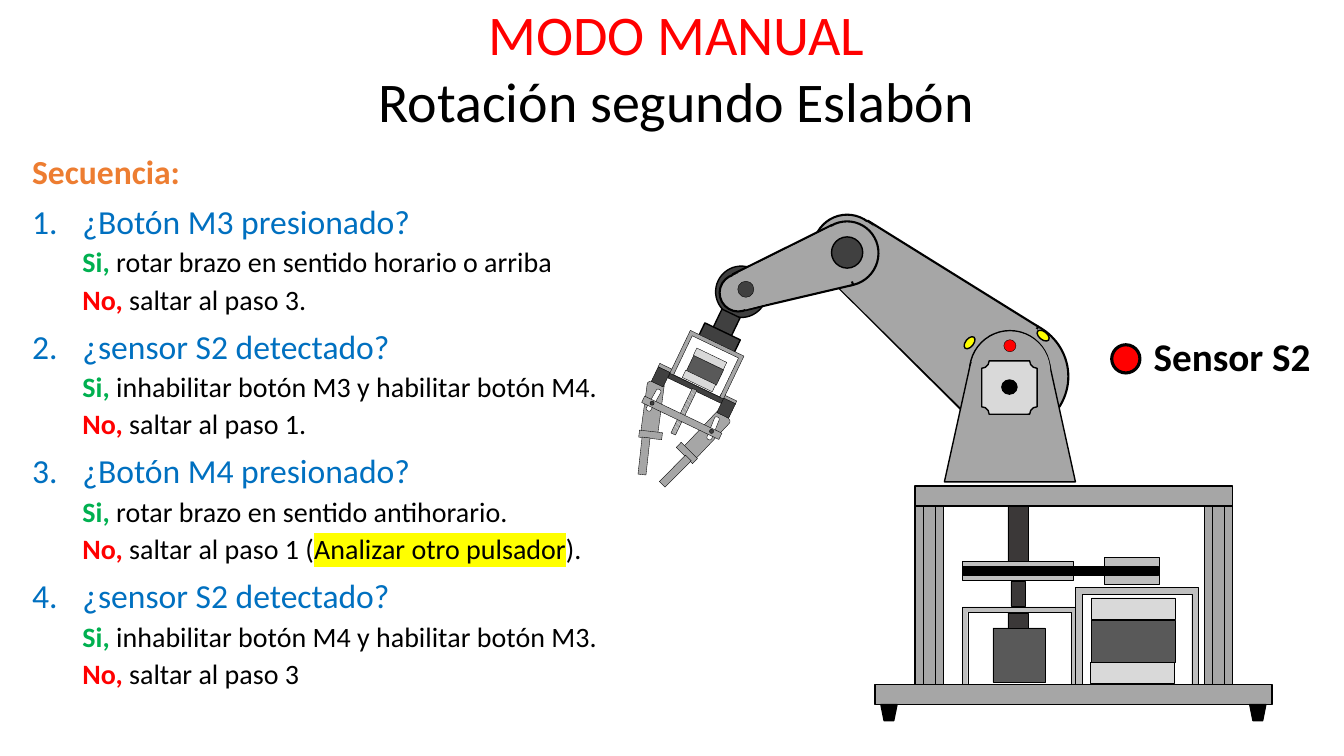
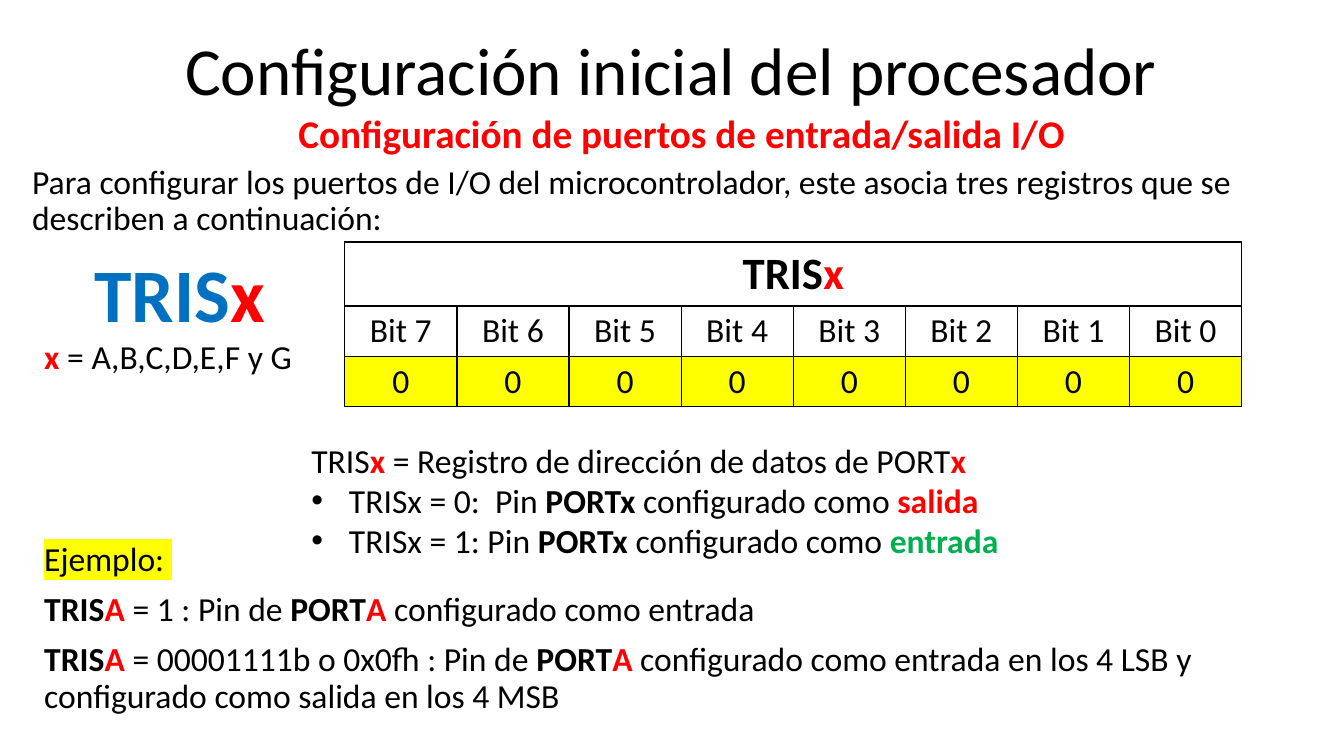
from lxml import etree
from pptx import Presentation
from pptx.dml.color import RGBColor
from pptx.enum.dml import MSO_PATTERN
from pptx.enum.shapes import MSO_SHAPE
from pptx.enum.text import MSO_ANCHOR, PP_ALIGN
from pptx.oxml.ns import qn
from pptx.util import Cm, Pt

CM = 2.54  # the layout grid is in inches, lengths are given in centimetres
FONT = "Calibri"
COLORS = {
    "black": "000000", "white": "FFFFFF", "red": "FF0000", "green": "00B050",
    "blue": "0070C0", "orange": "ED7D31", "yellow": "FFFF00", "grey": "A6A6A6",
    "silver": "BFBFBF", "light": "D9D9D9", "slate": "595959", "dark": "404040",
    "shaft": "3B3838",
}
KINDS = {
    "rect": MSO_SHAPE.RECTANGLE, "round": MSO_SHAPE.ROUNDED_RECTANGLE,
    "oval": MSO_SHAPE.OVAL, "frame": MSO_SHAPE.FRAME,
    "taper": MSO_SHAPE.FLOWCHART_MANUAL_OPERATION, "plaque": MSO_SHAPE.PLAQUE,
}
CENTER = PP_ALIGN.CENTER


def write_text(frame, *runs, size=24, align=PP_ALIGN.LEFT, spacing=1.0, before=0,
               left=0, first=0, bullet=None, number=None):
    """Add a paragraph; a run is a text or (text, colour, bold, highlight)."""
    paragraph = frame.paragraphs[0]
    if paragraph.runs:
        paragraph = frame.add_paragraph()
        paragraph.space_before = Pt(before)
    paragraph.alignment = align
    paragraph.line_spacing = spacing
    properties = paragraph._p.get_or_add_pPr()
    properties.set("marL", str(Cm(left)))
    properties.set("indent", str(Cm(first)))
    if bullet:
        etree.SubElement(properties, qn("a:buFont"), typeface="Arial")
        etree.SubElement(properties, qn("a:buChar"), char=bullet)
    if number:
        etree.SubElement(properties, qn("a:buAutoNum"), type="arabicPeriod",
                         startAt=str(number))
    for item in runs:
        item = (item,) if isinstance(item, str) else item
        text, color, bold, highlight = item + ("black", False, None)[len(item) - 1:]
        run = paragraph.add_run()
        run.text = text
        run.font.size = Pt(size)
        run.font.bold = bold
        run.font.color.rgb = RGBColor.from_string(COLORS[color])
        if highlight:
            mark = etree.SubElement(run._r.get_or_add_rPr(), qn("a:highlight"))
            etree.SubElement(mark, qn("a:srgbClr"), val=COLORS[highlight])
        run.font.name = FONT


def draw(kind, box, fill="grey", line="black", width=0.25, turn=0, adjust=None):
    """Add one part of the robot to the first slide."""
    shape = robot_slide.shapes.add_shape(KINDS[kind], *[Cm(CM * value) for value in box])
    shape.shadow.inherit = False
    shape.rotation = turn
    if adjust is not None:
        shape.adjustments[0] = adjust
    if fill == "hatch":
        shape.fill.patterned()
        shape.fill.pattern = MSO_PATTERN.WIDE_DOWNWARD_DIAGONAL
        shape.fill.fore_color.rgb = RGBColor.from_string(COLORS["white"])
        shape.fill.back_color.rgb = RGBColor.from_string(COLORS["grey"])
    else:
        shape.fill.solid()
        shape.fill.fore_color.rgb = RGBColor.from_string(COLORS[fill])
    if line:
        shape.line.color.rgb = RGBColor.from_string(COLORS[line])
        shape.line.width = Pt(width)
    else:
        shape.line.fill.background()


presentation = Presentation()
presentation.slide_width = Cm(33.87)
presentation.slide_height = Cm(19.05)
blank = presentation.slide_layouts[6]
robot_slide = presentation.slides.add_slide(blank)
register_slide = presentation.slides.add_slide(blank)

# Text boxes of both slides
frames = {}
for name, slide, box in [
    ("mode title", robot_slide, (0.66, 0.05, 12.1, 1.33)),
    ("sequence", robot_slide, (0.22, 1.49, 5.92, 6.01)),
    ("sensor", robot_slide, (11.11, 3.3, 2.23, 0.5)),
    ("setup title", register_slide, (0.59, 0.2, 12.14, 0.94)),
    ("subtitle", register_slide, (2.57, 1.09, 8.38, 0.71)),
    ("intro", register_slide, (0.22, 1.59, 12.52, 0.94)),
    ("meaning", register_slide, (2.99, 4.31, 7.61, 1.31)),
    ("register", register_slide, (0.84, 2.4, 2.07, 1.01)),
    ("ports", register_slide, (0.34, 3.28, 2.84, 0.5)),
    ("example", register_slide, (0.34, 5.33, 12.78, 1.97)),
]:
    frame = slide.shapes.add_textbox(*[Cm(CM * value) for value in box]).text_frame
    frame.word_wrap = True
    if name.endswith(" title"):
        frame.vertical_anchor = MSO_ANCHOR.BOTTOM
    frames[name] = frame

# Slide 1: title and sequence
write_text(frames["mode title"], ("MODO MANUAL", "red"), size=40, align=CENTER)
write_text(frames["mode title"], "Rotación segundo Eslabón", size=40, align=CENTER)

sequence = frames["sequence"]
write_text(sequence, ("Secuencia:", "orange", True), spacing=0.9)
steps = [
    ("¿Botón M3 presionado?", "rotar brazo en sentido horario o arriba",
     ["saltar al paso 3."]),
    ("¿sensor S2 detectado?", "inhabilitar botón M3 y habilitar botón M4.",
     ["saltar al paso 1."]),
    ("¿Botón M4 presionado?", "rotar brazo en sentido antihorario.",
     ["saltar al paso 1 (", ("Analizar otro pulsador", "black", False, "yellow"), ")."]),
    ("¿sensor S2 detectado?", "inhabilitar botón M4 y habilitar botón M3.",
     ["saltar al paso 3"]),
]
for number, (question, if_yes, if_no) in enumerate(steps, 1):
    write_text(sequence, (question, "blue"), spacing=0.9, before=10,
               left=1.27, first=-1.27, number=number)
    for answer in ([("Si, ", "green", True), if_yes], [("No, ", "red", True), *if_no]):
        write_text(sequence, *answer, size=20, spacing=0.9, before=5, left=1.27)

# Sensor legend
draw("oval", (11.03, 3.42, 0.28, 0.28), "red", width=2.25)
write_text(frames["sensor"], ("Sensor S2", "black", True), size=28, align=CENTER,
           spacing=0.9)

# Gripper fingers: knuckle, slot, joint plate and tip
for turn, slot_turn, plate_turn, knuckle, slot, plate, tip in [
    (7.6, 29.4, 6.3, (6.39, 3.79), (6.46, 3.85), (6.34, 4.28), (6.35, 4.34)),
    (43.5, 21.7, 44.8, (6.93, 4.05), (7.05, 4.13), (6.7, 4.46), (6.66, 4.49)),
]:
    draw("round", (*knuckle, 0.17, 0.52), turn=turn)
    draw("round", (*slot, 0.05, 0.24), "white", turn=slot_turn, adjust=0.4)
    draw("rect", (*plate, 0.23, 0.07), turn=plate_turn)
    draw("rect", (*tip, 0.08, 0.37), turn=plate_turn)

# Wrist and gripper body, all tilted alike
TILT = 25.6
for kind, box, fill, width in [
    ("oval", (7.1, 2.64, 0.51, 0.51), "dark", 1),
    ("rect", (7.11, 3.1, 0.2, 0.2), "dark", 1),
    ("rect", (6.94, 3.28, 0.39, 0.16), "dark", 1),
    ("rect", (6.53, 3.64, 0.17, 0.04), "grey", 0.25),
    ("rect", (7.14, 3.94, 0.17, 0.04), "grey", 0.25),
    ("frame", (6.71, 3.38, 0.59, 0.51), "grey", 0.25),
    ("rect", (6.61, 3.83, 0.59, 0.05), "dark", 0.25),
    ("rect", (6.49, 3.66, 0.13, 0.16), "dark", 0.25),
    ("rect", (7.14, 3.97, 0.13, 0.16), "dark", 0.25),
    ("rect", (6.83, 3.59, 0.33, 0.17), "slate", 0.25),
    ("rect", (6.88, 3.52, 0.33, 0.08), "light", 0.25),
    ("rect", (6.77, 3.74, 0.33, 0.08), "light", 0.25),
    ("rect", (6.76, 3.84, 0.05, 0.49), "hatch", 0.25),
]:
    draw(kind, box, fill, width=width, turn=TILT, adjust=0.08 if kind == "frame" else None)
draw("rect", (6.73, 3.72, 0.07, 0.85), turn=TILT - 90)
for pin in [(6.45, 3.98), (7.04, 4.26)]:
    draw("oval", (*pin, 0.04, 0.04), "dark", turn=TILT)

# Both arm links: outlined ends and body, then a body that hides the inner outline
for kind, box, turn, line in [
    ("oval", (9.44, 3.17, 1.16, 1.13), 0, "black"),
    ("taper", (8.61, 2.08, 1.13, 1.98), 128.4, "black"),
    ("oval", (8.07, 2.13, 0.67, 0.67), 0, "black"),
    ("taper", (8.64, 2.09, 1.07, 1.98), 128.4, "grey"),
    ("oval", (8.08, 2.2, 0.64, 0.63), 300.7, "black"),
    ("taper", (7.53, 2.17, 0.63, 1.09), 70.2, "black"),
    ("oval", (7.14, 2.72, 0.37, 0.37), 300.7, "black"),
    ("taper", (7.57, 2.16, 0.56, 1.1), 69.4, "grey"),
]:
    draw(kind, box, line=line, width=1.5, turn=turn)
draw("oval", (8.25, 2.35, 0.31, 0.31), "dark", width=1)
draw("oval", (7.32, 2.79, 0.16, 0.16), "dark")
for spot, turn in [((10.28, 3.29), 38.9), ((9.55, 3.36), 308.9)]:
    draw("oval", (*spot, 0.14, 0.08), "yellow", width=1, turn=turn)

# Shoulder support with motor and sensor
draw("round", (9.62, 3.28, 0.8, 0.82), width=1, adjust=0.5)
draw("taper", (9.37, 3.6, 1.3, 1.18), width=1, turn=180)
draw("round", (9.63, 3.29, 0.79, 0.79), line=None, adjust=0.5)
draw("plaque", (9.74, 3.58, 0.55, 0.53), "light", width=1, adjust=0.14)
draw("oval", (9.94, 3.77, 0.15, 0.14), "black", width=1)
draw("oval", (9.96, 3.37, 0.12, 0.12), "red")

# Base: inner frames, plates, columns and feet
draw("frame", (9.55, 6.02, 1.13, 0.86), "silver", adjust=0.06)
draw("frame", (10.67, 5.83, 1.22, 1.1), "silver", adjust=0.06)
draw("rect", (9.08, 4.82, 3.15, 0.2), width=1)
draw("rect", (8.68, 6.79, 3.94, 0.2), width=1)
for column in (9.08, 11.95):
    draw("rect", (column, 5.02, 0.28, 1.77), width=1)
    draw("rect", (column + 0.08, 5.02, 0.12, 1.77), width=1)
for foot in (8.74, 12.4):
    draw("taper", (foot, 6.99, 0.16, 0.16), "black", width=1)

# Base: motor, gearbox, pulleys, belt and shafts
for box, fill in [
    ((10.83, 6.15, 0.83, 0.42), "slate"),
    ((10.83, 5.93, 0.83, 0.21), "light"),
    ((10.82, 6.57, 0.83, 0.21), "light"),
    ((9.85, 6.23, 0.52, 0.54), "slate"),
    ((9.55, 5.57, 1.1, 0.19), "silver"),
    ((10.96, 5.53, 0.54, 0.27), "silver"),
    ((9.56, 5.62, 1.93, 0.09), "black"),
    ((10, 5.02, 0.2, 0.55), "shaft"),
    ((10, 6.08, 0.2, 0.15), "shaft"),
    ((10.03, 5.77, 0.14, 0.24), "shaft"),
]:
    draw("rect", box, fill)

# Slide 2: headings and introduction
write_text(frames["setup title"], "Configuración inicial del procesador", size=48,
           align=CENTER, spacing=0.9)
write_text(frames["subtitle"], ("Configuración de puertos de entrada/salida I/O", "red", True),
           size=28, align=CENTER, spacing=0.9)
write_text(frames["intro"], "Para configurar los puertos de I/O del microcontrolador, este "
           "asocia tres registros que se describen a continuación:", spacing=0.9)

# Register name and its meaning
red_x = ("x", "red", True)
write_text(frames["register"], ("TRIS", "blue", True), red_x, size=54)
write_text(frames["ports"], red_x, " = A,B,C,D,E,F y G")
write_text(frames["meaning"], "TRIS", red_x, " = Registro de dirección de datos de PORT", red_x)
for setting, result in [("TRISx = 0:  Pin ", ("salida", "red", True)),
                        ("TRISx = 1: Pin ", ("entrada", "green", True))]:
    write_text(frames["meaning"], setting, ("PORTx", "black", True),
               " configurado como ", result, left=0.95, first=-0.95, bullet="•")

# Worked example
write_text(frames["example"], ("Ejemplo: ", "black", False, "yellow"), spacing=0.9)
for value, result in [
    ("= 1 : Pin de ", " configurado como entrada"),
    ("= 00001111b o 0x0fh : Pin de ",
     " configurado como entrada en los 4 LSB y configurado como salida en los 4 MSB"),
]:
    write_text(frames["example"], ("TRIS", "black", True), ("A ", "red", True), value,
               ("PORT", "black", True), ("A", "red", True), result, spacing=0.9, before=10)

# Register table
BITS = 8
table = register_slide.shapes.add_table(
    3, BITS, Cm(8.69), Cm(6.1), Cm(22.6), Cm(4.15)).table
table.first_row = table.horz_banding = False
for row, height in zip(table.rows, (1.61, 1.27, 1.27)):
    row.height = Cm(height)
for column in table.columns:
    column.width = Cm(22.6 / BITS)
table.cell(0, 0).merge(table.cell(0, BITS - 1))
write_text(table.cell(0, 0).text_frame, ("TRIS", "black", True), red_x, size=32, align=CENTER)
for index in range(BITS):
    write_text(table.cell(1, index).text_frame, f"Bit {BITS - 1 - index}", align=CENTER)
    write_text(table.cell(2, index).text_frame, "0", align=CENTER)
    for row_index, fill in enumerate(("white", "white", "yellow")):
        cell = table.cell(row_index, index)
        properties = cell._tc.get_or_add_tcPr()
        for side in ("lnL", "lnR", "lnT", "lnB"):
            border = etree.SubElement(properties, qn(f"a:{side}"), w=str(Pt(1)))
            solid = etree.SubElement(border, qn("a:solidFill"))
            etree.SubElement(solid, qn("a:srgbClr"), val=COLORS["black"])
        cell.fill.solid()
        cell.fill.fore_color.rgb = RGBColor.from_string(COLORS[fill])

presentation.save("out.pptx")
